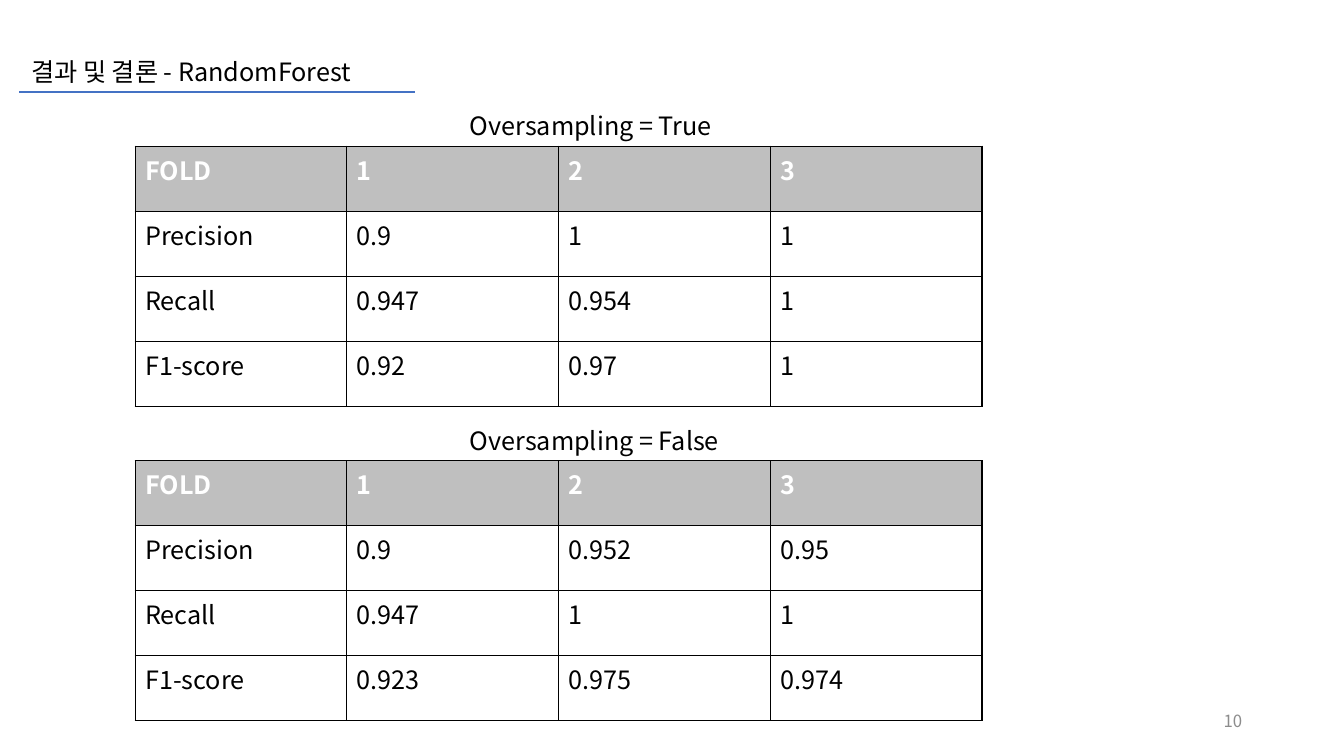
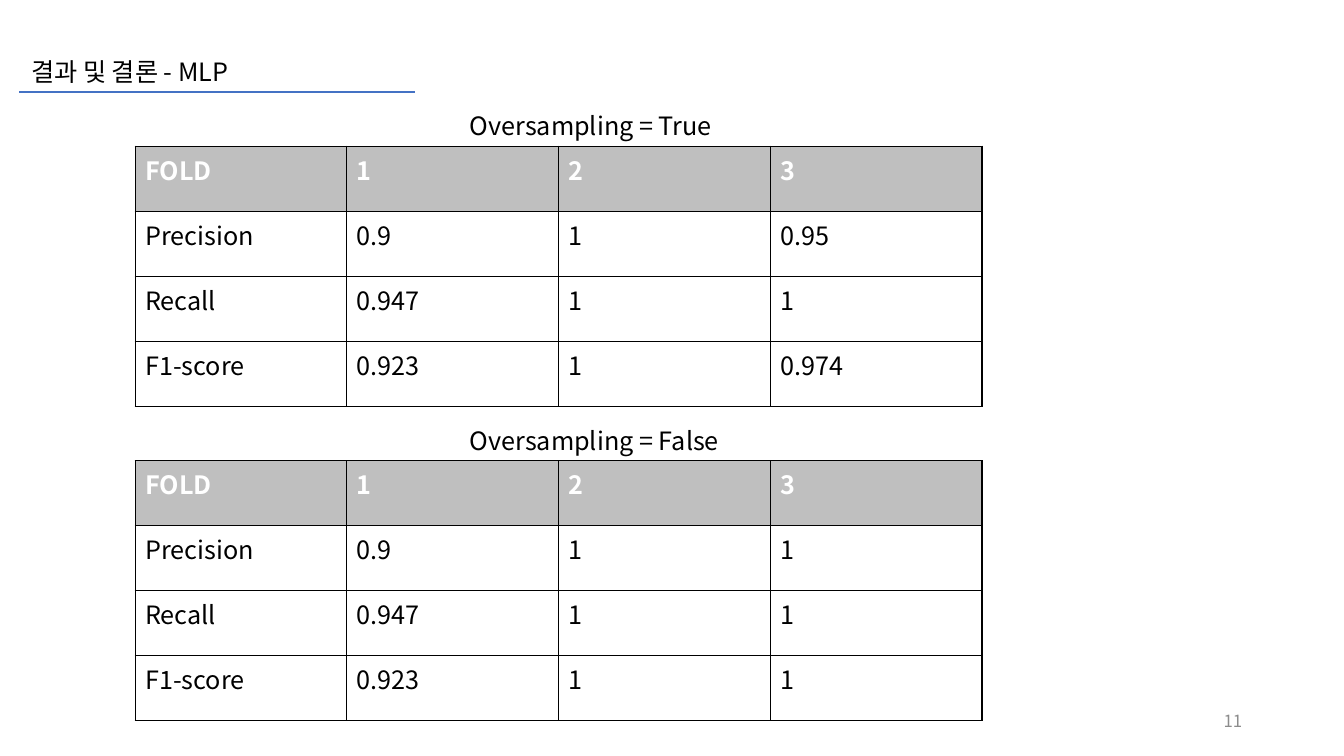
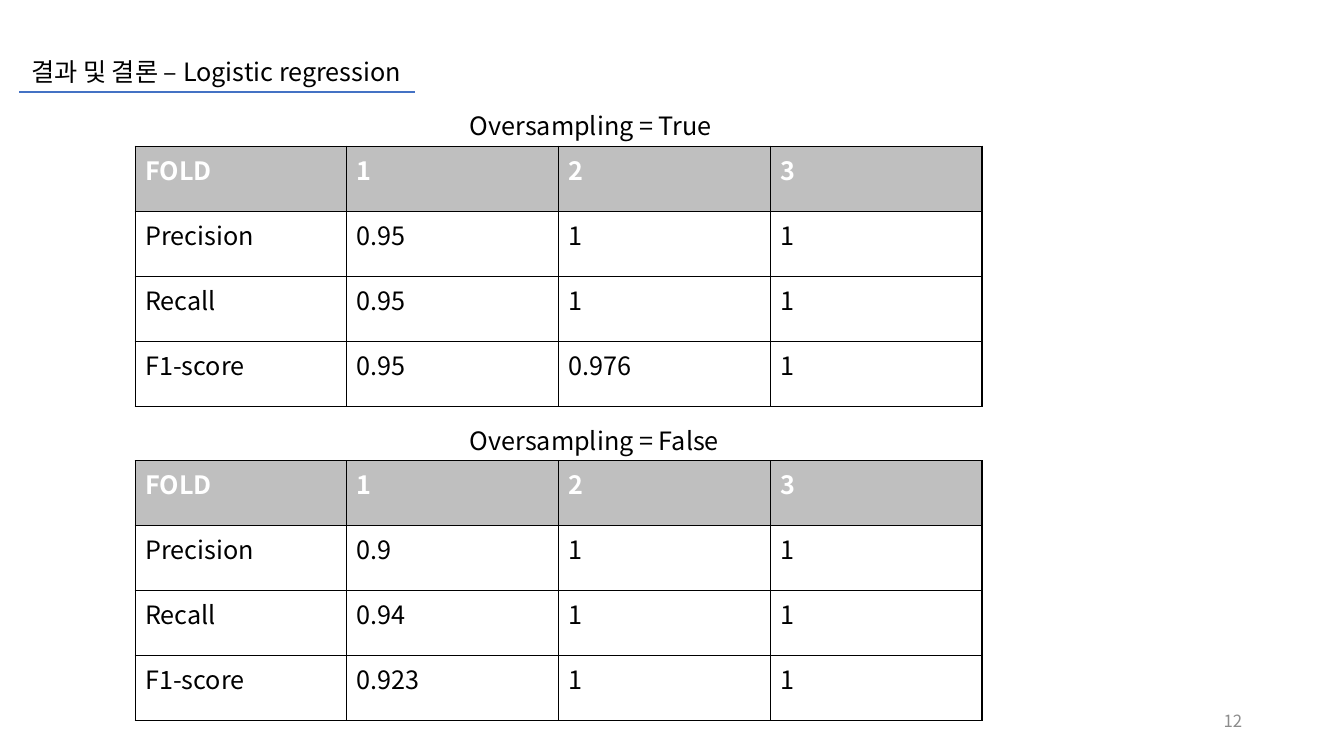
from lxml.etree import SubElement
from pptx import Presentation
from pptx.dml.color import RGBColor as RGB
from pptx.enum.text import MSO_ANCHOR as ANCHOR, PP_ALIGN as ALIGN
from pptx.oxml.ns import qn
from pptx.util import Inches, Pt

COLORS = {"text": "000000", "white": "FFFFFF", "head": "BFBFBF",
          "rule": "4472C4", "number": "8C8C8C"}
FONT = "Noto Sans CJK KR"
BODY = {"size": Pt(18), "bold": False, "color": "text"}
HEAD = {**BODY, "bold": True, "color": "white"}
NUMBER = {**BODY, "size": Pt(12), "color": "number"}

prs = Presentation()
prs.slide_width, prs.slide_height = Inches(13.33), Inches(7.5)
TABLE_X, TABLE_Y, TABLE_STEP = 1.34, 1.45, 3.12
COL_W, ROW_H, LABEL_H = 2.1, 0.645, 0.4
LABEL_X = 4.56
METRICS = ["Precision", "Recall", "F1-score"]
FOLDS = ["FOLD", "1", "2", "3"]

RESULTS = [
    ("결과 및 결론 - RandomForest", {
        "True": ["0.9 1 1", "0.947 0.954 1", "0.92 0.97 1"],
        "False": ["0.9 0.952 0.95", "0.947 1 1", "0.923 0.975 0.974"]}),
    ("결과 및 결론 - MLP", {
        "True": ["0.9 1 0.95", "0.947 1 1", "0.923 1 0.974"],
        "False": ["0.9 1 1", "0.947 1 1", "0.923 1 1"]}),
    ("결과 및 결론 – Logistic regression", {
        "True": ["0.95 1 1", "0.95 1 1", "0.95 0.976 1"],
        "False": ["0.9 1 1", "0.94 1 1", "0.923 1 1"]}),
]


def write(tf, text, style):
    p = tf.paragraphs[0]
    r = p.add_run()
    r.text = text
    for name, value in style.items():
        if name == "color":
            r.font.color.rgb = RGB.from_string(COLORS[value])
        else:
            setattr(r.font, name, value)
    r.font.name = FONT
    SubElement(r.font._element, qn("a:ea"), typeface=FONT)
    return p


def add_text(s, text, x, y, w, style=BODY):
    tf = s.shapes.add_textbox(*map(Inches, (x, y, w, LABEL_H))).text_frame
    tf.word_wrap = True
    return tf, write(tf, text, style)


for number, (title, tables) in enumerate(RESULTS, 10):
    s = prs.slides.add_slide(prs.slide_layouts[6])

    tf, p = add_text(s, str(number), 9.42, 6.95, 3, NUMBER)
    tf.vertical_anchor = ANCHOR.MIDDLE
    p.alignment = ALIGN.RIGHT

    rule = s.shapes.add_connector(1, *map(Inches, (0.19, 0.91, 4.12, 0.91)))
    rule.line.color.rgb = RGB.from_string(COLORS["rule"])
    rule.line.width = Pt(1.5)
    SubElement(rule._element.spPr, qn("a:effectLst"))
    add_text(s, title, 0.21, 0.51, 4.11)

    for i, (oversampling, scores) in enumerate(tables.items()):
        y = TABLE_Y + i * TABLE_STEP
        rows = [FOLDS] + [[m, *line.split()] for m, line in zip(METRICS, scores)]
        box = (TABLE_X, y, COL_W * len(FOLDS), ROW_H * len(rows))
        table = s.shapes.add_table(len(rows), len(FOLDS), *map(Inches, box)).table
        table.horz_banding = False
        for r, row in enumerate(rows):
            for c, text in enumerate(row):
                cell = table.cell(r, c)
                write(cell.text_frame, text, BODY if r else HEAD)
                tcPr = cell._tc.get_or_add_tcPr()
                for side in ("lnL", "lnR", "lnT", "lnB"):
                    ln = SubElement(tcPr, qn("a:" + side), w=str(Pt(1)))
                    fill = SubElement(ln, qn("a:solidFill"))
                    SubElement(fill, qn("a:srgbClr"), val=COLORS["text"])
                if r:
                    cell.fill.background()
                else:
                    cell.fill.solid()
                    cell.fill.fore_color.rgb = RGB.from_string(COLORS["head"])
        add_text(s, f"Oversampling = {oversampling}", LABEL_X, y - LABEL_H, 2.78)

prs.save("out.pptx")
